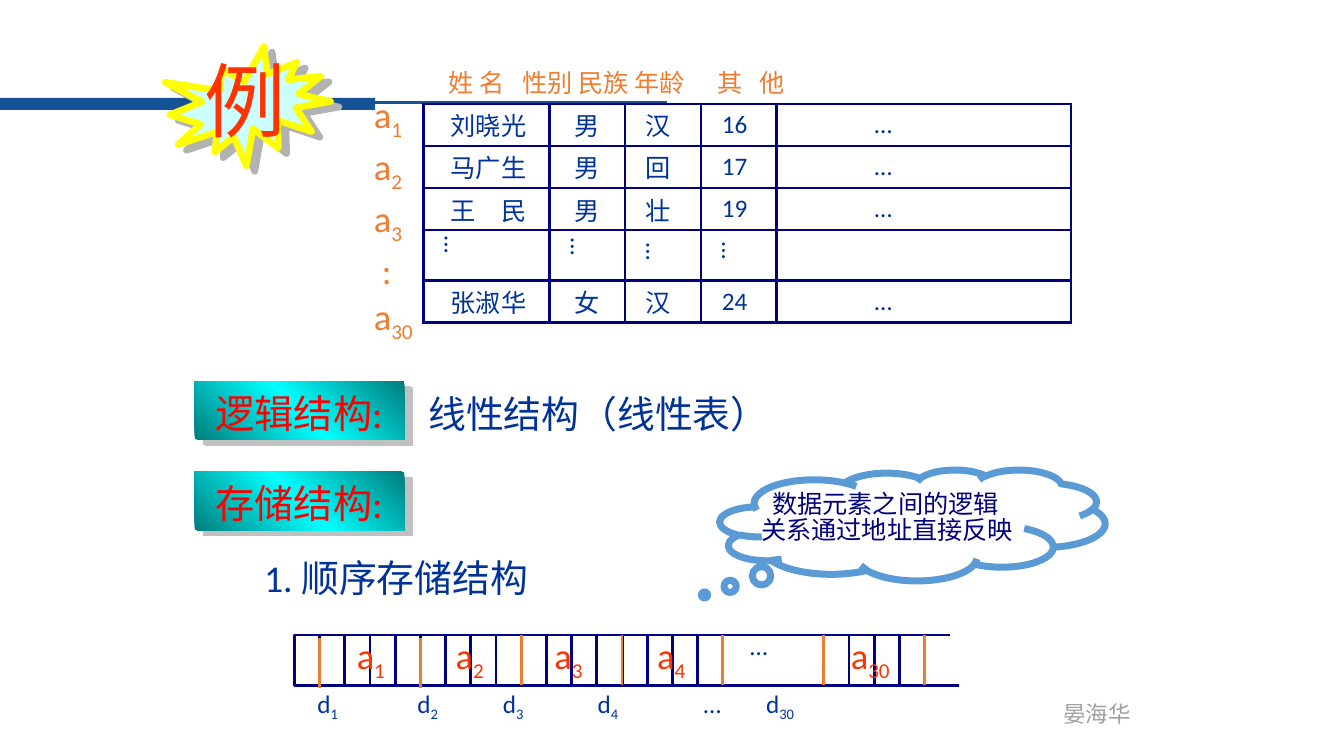
from dataclasses import dataclass
from itertools import chain
from lxml.etree import SubElement as sub
from pptx import Presentation
from pptx.dml.color import RGBColor
from pptx.enum.shapes import MSO_CONNECTOR as Connector, MSO_SHAPE as Shape
from pptx.enum.text import MSO_ANCHOR as Anchor, MSO_AUTO_SIZE as AutoSize
from pptx.oxml.ns import qn
from pptx.util import Inches, Pt


@dataclass(frozen=True)
class Theme:
    latin: str = "Calibri"
    chinese: str = "Noto Sans CJK SC"
    ink: str = "003399"
    navy: str = "000080"
    cloud_ink: str = "00007E"
    cloud_edge: str = "5B9BD5"
    orange: str = "ED7D31"
    scarlet: str = "FF3300"
    red: str = "FF0000"
    rule: str = "145396"
    author: str = "9F9F9F"
    seal: str = "CCFFFF"
    seal_edge: str = "FFFF00"
    seal_shadow: str = "B2B2B2"
    tag_shadow: str = "C0C0C0"
    tag_edge: str = "007D7D"
    tag_glow: str = "00FFFF"
    title: int = 58
    tag: int = 28
    heading: int = 27
    node: int = 26
    body: int = 18
    small: int = 16
    border: int = 2


THEME = Theme()
UNIT = 0.25
ARRAY_LEFT, ARRAY_TOP, ARRAY_HEIGHT = 11.68, 25.2, 2
RECORDS = [
    ["刘晓光", "男", "汉", "16", "…"],
    ["马广生", "男", "回", "17", "…"],
    ["王　民", "男", "壮", "19", "…"],
    ["…"] * 5,
    ["张淑华", "女", "汉", "24", "…"],
]


def grid(*cells):
    return [Inches(cell * UNIT) for cell in cells]


def rgb(value):
    return RGBColor.from_string(value)


def color_node(parent, value):
    return sub(parent, qn("a:srgbClr"), val=value)


def write(frame, text, *, size=THEME.body, color=THEME.ink, font=THEME.latin,
          spacing=None, indents=(), tabs=(), shadow=False):
    for index, line in enumerate(text.split("\n")):
        paragraph = frame.paragraphs[0] if index == 0 else frame.add_paragraph()
        properties = paragraph._p.get_or_add_pPr()
        if spacing:
            paragraph.line_spacing = spacing
        if index < len(indents):
            properties.set("indent", str(Inches(indents[index])))
        if tabs:
            stops = sub(properties, qn("a:tabLst"))
            for stop in tabs:
                sub(stops, qn("a:tab"), pos=str(Inches(stop)), algn="l")
        for order, part in enumerate(line.split("~")):
            run = paragraph.add_run()
            run.text = part
            run.font.size = Pt(size)
            run.font.color.rgb = rgb(color)
            look = run._r.get_or_add_rPr()
            if order % 2:
                look.set("baseline", "-25000")
            if shadow:
                add_shadow(look, THEME.tag_shadow, 2)
            run.font.name = font
            sub(look, qn("a:ea"), typeface=THEME.chinese)


def label(slide, box, text, wrap=True, **style):
    frame = slide.shapes.add_textbox(*grid(*box)).text_frame
    frame.word_wrap = wrap
    write(frame, text, **style)


def add_shadow(properties, color, distance):
    effects = sub(properties, qn("a:effectLst"))
    outer = sub(effects, qn("a:outerShdw"), dist=str(Pt(distance)),
                dir=str(34 * 60000), algn="ctr", rotWithShape="0")
    color_node(outer, color)


def outline(slide, kind, box, fill=None, line=None, width=THEME.border, shadow=None):
    shape = slide.shapes.add_shape(kind, *grid(*box))
    if shadow:
        shape.fill.background()
    else:
        shape.shadow.inherit = False
    if fill:
        shape.fill.solid()
        shape.fill.fore_color.rgb = rgb(fill)
    else:
        shape.fill.background()
    if line:
        shape.line.color.rgb = rgb(line)
        shape.line.width = Pt(width)
    else:
        shape.line.fill.background()
    if shadow:
        add_shadow(shape._element.spPr, shadow, 7.2)
    return shape


def stroke(slide, ends, color=THEME.navy, width=THEME.border):
    line = slide.shapes.add_connector(Connector.STRAIGHT, *grid(*ends))
    line.line.color.rgb = rgb(color)
    line.line.width = Pt(width)
    sub(line._element.spPr, qn("a:effectLst"))


def tag(slide, top, text):
    plate = outline(slide, Shape.RECTANGLE, (7.72, top, 8.32, 2.32),
                    shadow=THEME.tag_shadow)
    plate.fill.gradient()
    plate.fill.gradient_angle = 45
    stops = plate.fill._xPr.find(qn("a:gradFill")).find(qn("a:gsLst"))
    for stop in list(stops):
        stops.remove(stop)
    for position, color in ((0, THEME.tag_edge), (50, THEME.tag_glow), (100, THEME.tag_edge)):
        color_node(sub(stops, qn("a:gs"), pos=str(position * 1000)), color)
    label(slide, (8.16, top + 0.12, 7.56, 2.28), text, wrap=False,
          size=THEME.tag, color=THEME.red, shadow=True)


def border_cell(cell):
    cell.fill.background()
    properties = cell._tc.get_or_add_tcPr()
    for order, side in enumerate("LRTB"):
        edge = sub(properties, qn(f"a:ln{side}"), w=str(Pt(THEME.border)))
        color_node(sub(edge, qn("a:solidFill")), THEME.navy)
        properties.insert(order, edge)


def record_table(slide):
    widths, heights = (5, 3, 3, 3, 11.68), (1.67, 1.67, 1.67, 2, 1.67)
    insets = (1.08, 1, 0.8, 0.84, 3.9)
    table = slide.shapes.add_table(
        len(heights), len(widths), *grid(16.8, 4.12, sum(widths), sum(heights))).table
    table.first_row = table.horz_banding = False
    for column, width in zip(table.columns, grid(*widths)):
        column.width = width
    for row, height, record in zip(table.rows, grid(*heights), RECORDS):
        row.height = height
        for cell, inset, value in zip(row.cells, grid(*insets), record):
            cell.margin_left = inset
            cell.margin_right = cell.margin_top = cell.margin_bottom = 0
            cell.vertical_anchor = Anchor.MIDDLE
            border_cell(cell)
            if record[0] == "…":
                cell.vertical_anchor = Anchor.TOP
                cell._tc.get_or_add_tcPr().set("vert", "vert270")
            write(cell.text_frame, value)


def storage_array(slide):
    bottom = ARRAY_TOP + ARRAY_HEIGHT
    for step in chain(range(17), range(21, 25)):
        outline(slide, Shape.RECTANGLE,
                (ARRAY_LEFT + step, ARRAY_TOP, 1, ARRAY_HEIGHT), line=THEME.navy)
    for left, top_right, low_right in ((28.68, 33.04, 33.04), (36.68, 37.68, 38.04)):
        stroke(slide, (left, ARRAY_TOP, top_right, ARRAY_TOP))
        stroke(slide, (left, bottom, low_right, bottom))
    label(slide, (29.36, 24.8, 1.92, 1.76), "…", wrap=False)
    for order in range(7):
        x, drop = ARRAY_LEFT + 1 + 4 * order, 0.12 if order < 2 else 0
        stroke(slide, (x, ARRAY_TOP + drop, x, bottom + drop), THEME.orange)
    for left, number in ((13.76, 1), (17.68, 2), (21.6, 3), (25.68, 4), (33.36, 30)):
        label(slide, (left, 24.92, 2.72, 2.16), f"a~{number}",
              size=THEME.node, color=THEME.scarlet)
    label(slide, (12.2, 27.12, 24.76, 1.6), "d~1~\td~2~\td~3~\td~4~\t…\td~30",
          tabs=(0.99, 1.84, 2.78, 3.83, 4.45))


def example_title(slide):
    seal = outline(slide, Shape.EXPLOSION1, (6.76, 2.04, 6.32, 4.44), THEME.seal,
                   THEME.seal_edge, 4.75, THEME.seal_shadow)
    seal.rotation = 346.6
    title = slide.shapes.title
    title.left, title.top, title.width, title.height = grid(7.72, 3.28, 4.68, 2.8)
    frame = title.text_frame
    frame.auto_size = AutoSize.NONE
    frame.vertical_anchor = Anchor.BOTTOM
    write(frame, "例", size=THEME.title, color=THEME.scarlet)
    frame.paragraphs[0]._p.get_or_add_pPr().set("algn", "l")
    seal._element.addnext(title._element)


def thought_cloud(slide):
    cloud = outline(slide, Shape.CLOUD_CALLOUT, (28.56, 18.64, 15.28, 4.4),
                    line=THEME.cloud_edge, width=5)
    cloud.adjustments[0], cloud.adjustments[1] = -0.54, 0.63
    label(slide, (29.8, 19.36, 15.12, 2.68), "数据元素之间的逻辑\n关系通过地址直接反映",
          color=THEME.cloud_ink, spacing=0.85, indents=(0.11,))


def main():
    deck = Presentation()
    deck.slide_width, deck.slide_height = Inches(13.33), Inches(7.5)
    slide = deck.slides.add_slide(deck.slide_layouts[5])
    label(slide, (41.8, 27.6, 3.52, 1.48), "晏海华", wrap=False,
          size=THEME.small, color=THEME.author)
    outline(slide, Shape.RECTANGLE, (0, 3.88, 14.88, 0.48), THEME.rule)
    stroke(slide, (14.72, 4.08, 26.48, 4.08), THEME.rule, 2.25)
    example_title(slide)
    label(slide, (17.4, 2.48, 23.24, 1.72), "姓 名\t性别 民族 年龄\t其\t他",
          color=THEME.orange, font=THEME.chinese, tabs=(0.73, 2.67, 3.08))
    record_table(slide)
    label(slide, (14.44, 3.36, 2.64, 10.72), "a~1\na~2\na~3\n:\na~30",
          size=THEME.node, color=THEME.orange, spacing=1.05, indents=(0, 0, 0, 0.08))
    tag(slide, 15.12, "逻辑结构:")
    label(slide, (16.6, 15.32, 15.48, 2.2), "线性结构（线性表）", size=THEME.heading)
    tag(slide, 18.72, "存储结构:")
    label(slide, (10.08, 21.8, 13, 2.2), "1. 顺序存储结构", size=THEME.heading)
    storage_array(slide)
    thought_cloud(slide)
    deck.save("out.pptx")


if __name__ == "__main__":
    main()
